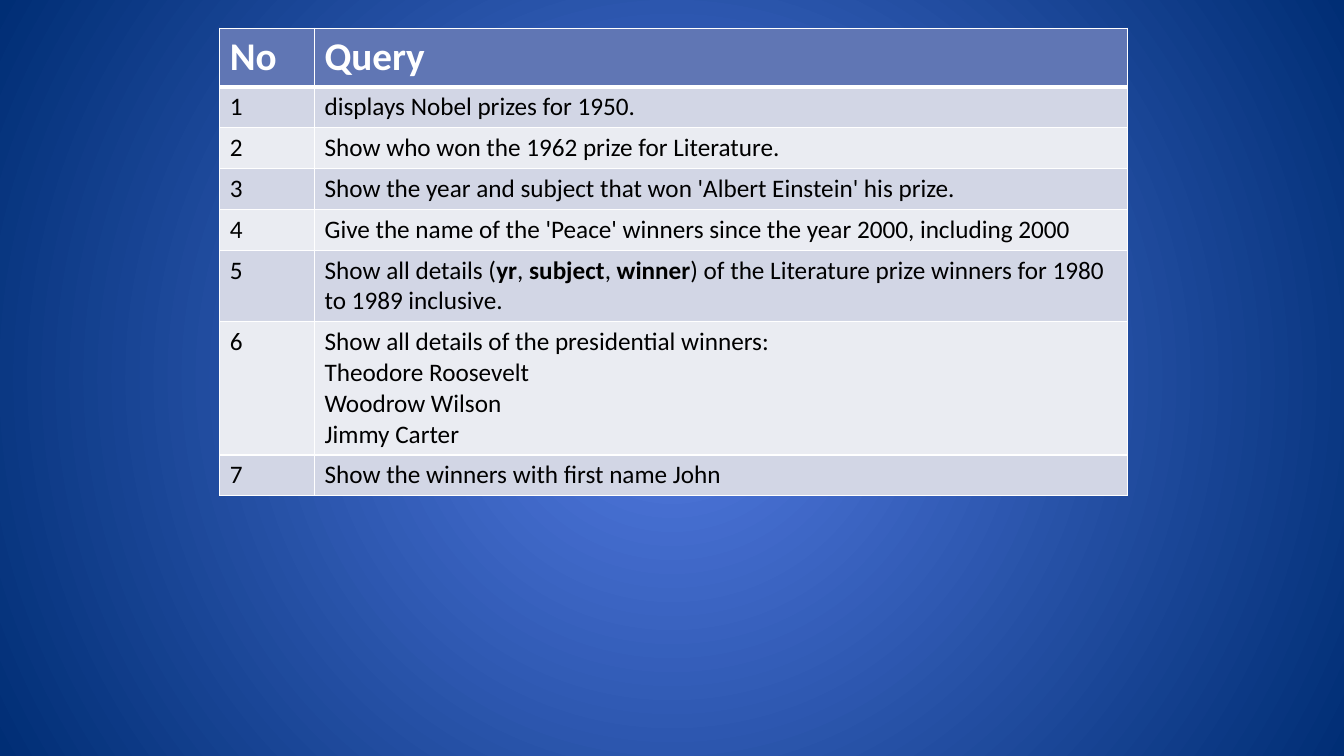
from dataclasses import dataclass

import lxml.etree
import pptx
import pptx.dml.color
import pptx.oxml
import pptx.oxml.ns
import pptx.slide
import pptx.table
import pptx.util

Inches = pptx.util.Inches
qn = pptx.oxml.ns.qn
WHITE = "FFFFFF"
BLACK = "000000"


@dataclass(frozen=True)
class RowStyle:
    fill: str
    color: str
    size: int
    bold: bool
    top: int = 1
    bottom: int = 1


@dataclass(frozen=True)
class QueryRow:
    number: str
    lines: tuple[str, ...]
    height: float = 0.4
    bold_words: tuple[str, ...] = ()


HEADER = RowStyle("6076B4", WHITE, 28, True, bottom=3)
BODY = (
    RowStyle("EAECF2", BLACK, 18, False),
    RowStyle("D2D6E5", BLACK, 18, False),
)
FIRST = RowStyle("D2D6E5", BLACK, 18, False, top=3)

ROWS = (
    QueryRow("No", ("Query",), 0.58),
    QueryRow("1", ("displays Nobel prizes for 1950.",)),
    QueryRow("2", ("Show who won the 1962 prize for Literature.",)),
    QueryRow("3", ("Show the year and subject that won 'Albert Einstein' his prize.",)),
    QueryRow("4", ("Give the name of the 'Peace' winners since the year 2000, including 2000",)),
    QueryRow(
        "5",
        ("Show all details (|yr|, |subject|, |winner|"
         ") of the Literature prize winners for 1980 to 1989 inclusive.",),
        0.7,
        ("yr", "subject", "winner"),
    ),
    QueryRow(
        "6",
        ("Show all details of the presidential winners:",
         "Theodore Roosevelt", "Woodrow Wilson", "Jimmy Carter"),
        1.32,
    ),
    QueryRow("7", ("Show the winners with first name John",)),
)


def rgb(value: str) -> pptx.dml.color.RGBColor:
    return pptx.dml.color.RGBColor.from_string(value)


def set_background(slide: pptx.slide.Slide, center: str, edge: str) -> None:
    fill = slide.background.fill
    fill.gradient()
    for stop, color, position in zip(fill.gradient_stops, (center, edge), (0, 1)):
        stop.color.rgb = rgb(color)
        stop.position = position
    grad = slide.background._cSld.find(".//" + qn("a:gradFill"))
    lin = grad.find(qn("a:lin"))
    radial = lxml.etree.Element(qn("a:path"), {"path": "circle"})
    sides = dict.fromkeys(("l", "t", "r", "b"), "50000")
    lxml.etree.SubElement(radial, qn("a:fillToRect"), sides)
    grad.replace(lin, radial)


def set_borders(cell: pptx.table._Cell, style: RowStyle) -> None:
    props = cell._tc.get_or_add_tcPr()
    widths = {"L": 1, "R": 1, "T": style.top, "B": style.bottom}
    for i, (side, width) in enumerate(widths.items()):
        line = lxml.etree.Element(qn("a:ln" + side), {"w": str(pptx.util.Pt(width))})
        solid = lxml.etree.SubElement(line, qn("a:solidFill"))
        lxml.etree.SubElement(solid, qn("a:srgbClr"), {"val": WHITE})
        props.insert(i, line)


def fill_cell(cell: pptx.table._Cell, lines: tuple[str, ...], style: RowStyle,
              bold_words: tuple[str, ...] = ()) -> None:
    cell.fill.solid()
    cell.fill.fore_color.rgb = rgb(style.fill)
    set_borders(cell, style)
    tf = cell.text_frame
    for i, line in enumerate(lines):
        p = tf.paragraphs[0] if i == 0 else tf.add_paragraph()
        p.font.name = "Calibri"
        p.font.size = pptx.util.Pt(style.size)
        p.font.color.rgb = rgb(style.color)
        if not bold_words:
            p.font.bold = style.bold
        for part in line.split("|"):
            r = p.add_run()
            r.text = part
            if bold_words:
                r.font.bold = part in bold_words


def add_query_table(slide: pptx.slide.Slide) -> None:
    height = sum(row.height for row in ROWS)
    frame = slide.shapes.add_table(
        len(ROWS), 2, Inches(2.18), Inches(0.28), Inches(9), Inches(height))
    table = frame.table
    for column, width in zip(table.columns, (0.94, 8.06)):
        column.width = Inches(width)
    for i, row in enumerate(ROWS):
        table.rows[i].height = Inches(row.height)
        style = {0: HEADER, 1: FIRST}.get(i, BODY[i % 2])
        fill_cell(table.cell(i, 0), (row.number,), style)
        fill_cell(table.cell(i, 1), row.lines, style, row.bold_words)


def main() -> None:
    prs = pptx.Presentation()
    prs.slide_width = Inches(13.33)
    prs.slide_height = Inches(7.5)
    slide = prs.slides.add_slide(prs.slide_layouts[6])
    set_background(slide, "547BE2", "002E75")
    add_query_table(slide)
    prs.save("out.pptx")


if __name__ == "__main__":
    main()
